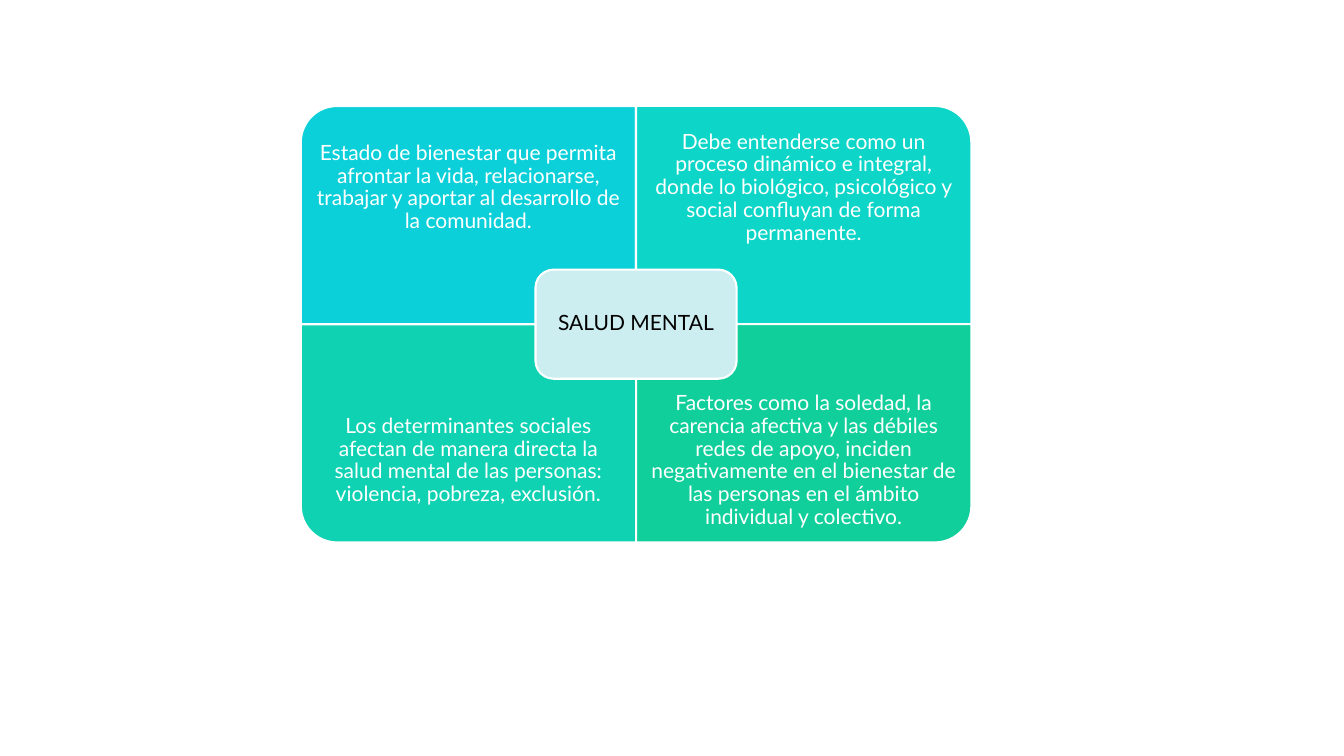
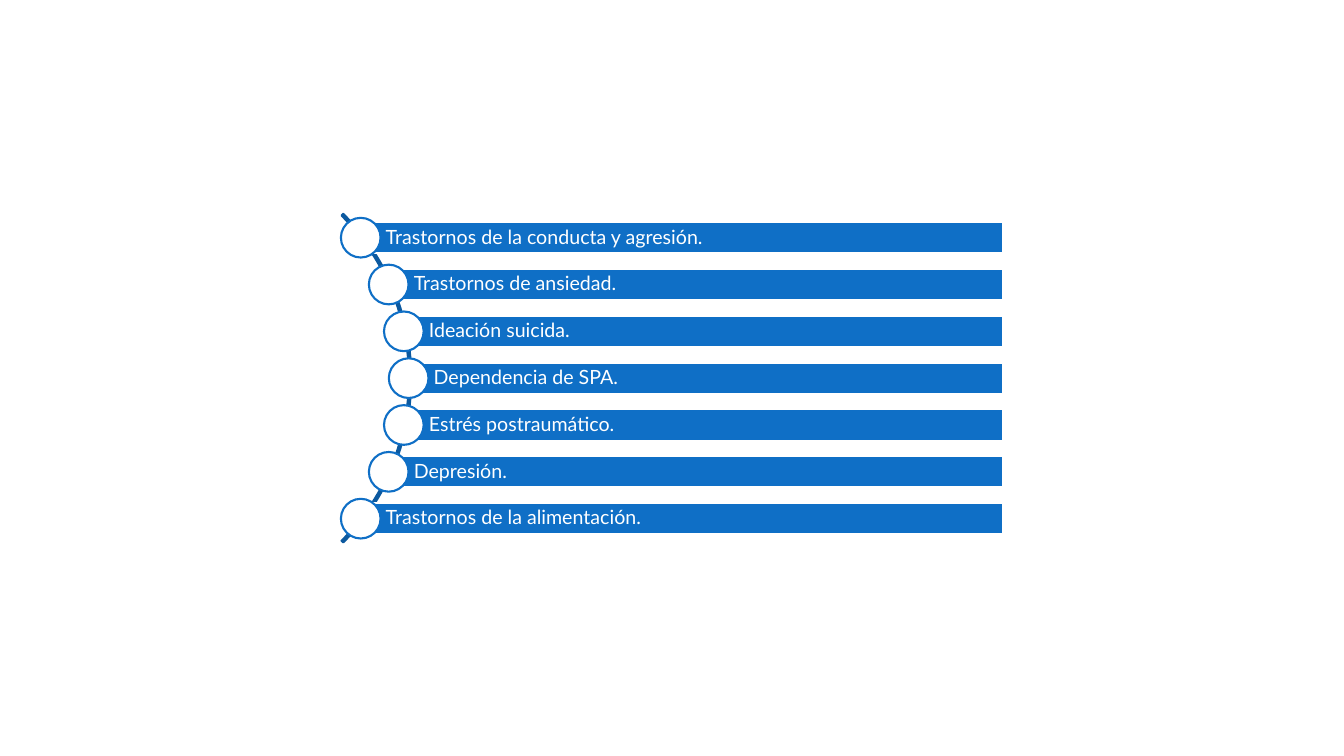
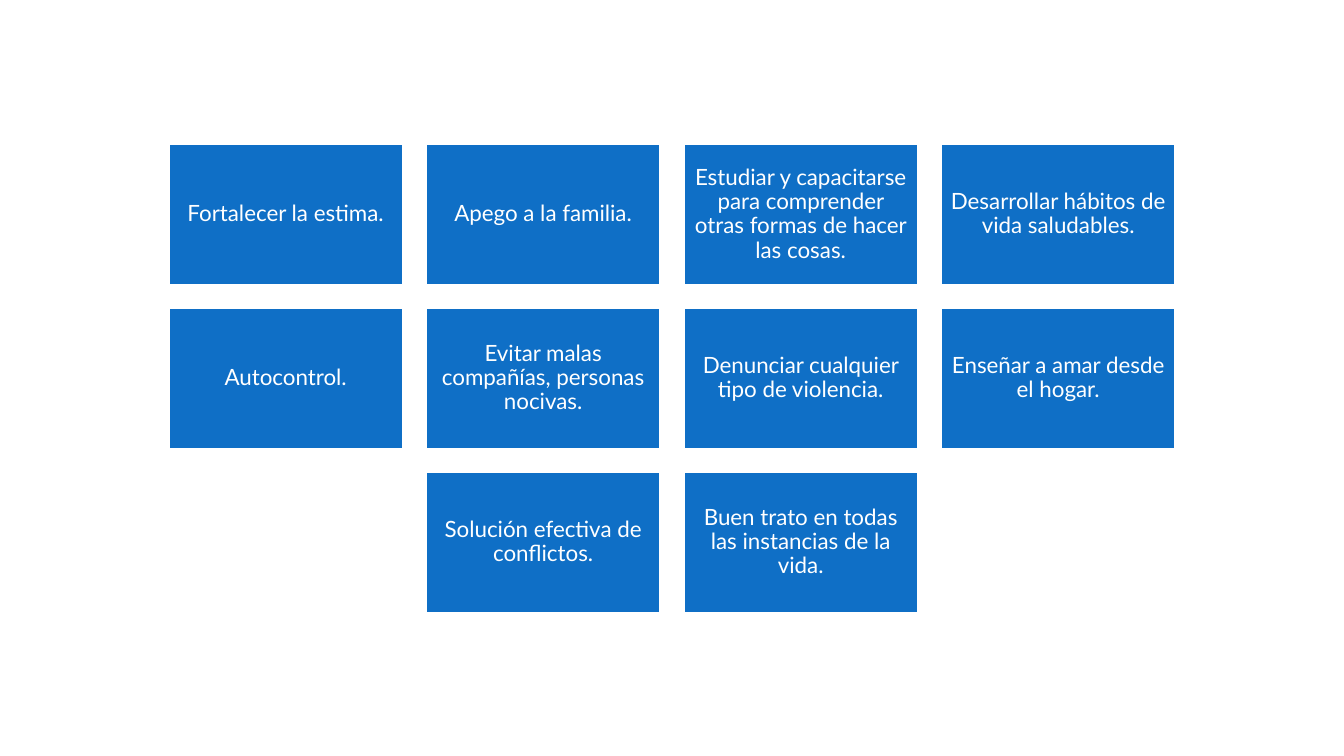
import math

import pptx
import pptx.dml.color
import pptx.enum.shapes
import pptx.enum.text
import pptx.util

Cm = pptx.util.Cm
Pt = pptx.util.Pt
RGB = pptx.dml.color.RGBColor
KIND = pptx.enum.shapes.MSO_SHAPE
ALIGN = pptx.enum.text.PP_ALIGN

COLOURS = {
    "white": "FFFFFF",
    "black": "000000",
    "blue": "0F6FC6",
    "dark blue": "0C599F",
    "cyan": "0BD0D9",
    "turquoise": "0DD6C9",
    "sea green": "0ED2B2",
    "green": "10CF9B",
    "pale cyan": "CCEEF1",
}
FONT = "Lato"


def add_shape(page, kind, left, top, width, height, fill, line="white"):
    shape = page.shapes.add_shape(kind, Cm(left), Cm(top), Cm(width), Cm(height))
    shape.shadow.inherit = False
    if fill:
        shape.fill.solid()
        shape.fill.fore_color.rgb = RGB.from_string(COLOURS[fill])
    else:
        shape.fill.background()
    shape.line.color.rgb = RGB.from_string(COLOURS[line])
    shape.line.width = Pt(1.5)
    return shape


def write(box, text, size, margin, colour="white", align=ALIGN.CENTER):
    frame = box.text_frame
    frame.word_wrap = True
    frame.vertical_anchor = pptx.enum.text.MSO_ANCHOR.MIDDLE
    frame.margin_left = frame.margin_right = Cm(margin)
    frame.margin_top = frame.margin_bottom = Cm(margin)
    para = frame.paragraphs[0]
    para.text = text
    para.alignment = align
    para.line_spacing = 0.9
    para.font.name = FONT
    para.font.size = Pt(size)
    para.font.color.rgb = RGB.from_string(COLOURS[colour])


deck = pptx.Presentation()
deck.slide_width = Cm(33.87)
deck.slide_height = Cm(19.05)
blank = deck.slide_layouts[6]

# Slide 1: four quadrants around a central idea
page = deck.slides.add_slide(blank)
centre_x, centre_y = 16.03, 8.17
quad_width, quad_height = 8.45, 5.5
text_height = quad_height * 0.75
quadrants = [
    # column, row, rotation that turns the round corner outwards, fill, text
    (0, 0, 270, "cyan",
     "Estado de bienestar que permita afrontar la vida, relacionarse, "
     "trabajar y aportar al desarrollo de la comunidad."),
    (1, 0, 0, "turquoise",
     "Debe entenderse como un proceso dinámico e integral, donde lo biológico, "
     "psicológico y social confluyan de forma permanente."),
    (0, 1, 180, "sea green",
     "Los determinantes sociales afectan de manera directa la salud mental "
     "de las personas: violencia, pobreza, exclusión."),
    (1, 1, 90, "green",
     "Factores como la soledad, la carencia afectiva y las débiles redes de apoyo, "
     "inciden negativamente en el bienestar de las personas en el ámbito "
     "individual y colectivo."),
]
for column, row, rotation, fill, text in quadrants:
    left = centre_x + (column - 1) * quad_width
    top = centre_y + (row - 1) * quad_height
    # A quarter turn swaps the sides, so the unrotated shape is upright
    width, height = quad_width, quad_height
    if rotation in (90, 270):
        width, height = height, width
    quadrant = add_shape(page, KIND.ROUND_1_RECTANGLE,
                         left + (quad_width - width) / 2,
                         top + (quad_height - height) / 2, width, height, fill)
    quadrant.rotation = rotation
    # Text keeps to the outer three quarters, clear of the centre
    text_top = top + row * (quad_height - text_height)
    box = page.shapes.add_textbox(Cm(left), Cm(text_top), Cm(quad_width), Cm(text_height))
    write(box, text, 15, 0.3)

hub_width, hub_height = quad_width * 0.6, quad_height * 0.5
hub = add_shape(page, KIND.ROUNDED_RECTANGLE, centre_x - hub_width / 2,
                centre_y - hub_height / 2, hub_width, hub_height, "pale cyan")
write(hub, "SALUD MENTAL", 15, 0.15, "black")

# Slide 2: bars whose dots sit on an arc
page = deck.slides.add_slide(blank)
arc_x, arc_y, arc_size = 4.51, 9.53, 11.71
dot_radius, dot_size = 5.79, 1
bar_right, bar_height, bar_pitch = 25.27, 0.79, 1.18
arc = add_shape(page, KIND.BLOCK_ARC, arc_x - arc_size / 2, arc_y - arc_size / 2,
                arc_size, arc_size, None, "dark blue")
for index, value in enumerate((189, 27, 0.005)):
    arc.adjustments[index] = value

disorders = [
    "Trastornos de la conducta y agresión.",
    "Trastornos de ansiedad.",
    "Ideación suicida.",
    "Dependencia de SPA.",
    "Estrés postraumático.",
    "Depresión.",
    "Trastornos de la alimentación.",
]
for index, text in enumerate(disorders):
    offset = (index - (len(disorders) - 1) / 2) * bar_pitch
    dot_x = arc_x + math.sqrt(dot_radius ** 2 - offset ** 2)
    dot_y = arc_y + offset
    bar = add_shape(page, KIND.RECTANGLE, dot_x, dot_y - bar_height / 2,
                    bar_right - dot_x, bar_height, "blue")
    write(bar, text, 14, 0.1, align=ALIGN.LEFT)
    bar.text_frame.margin_left = Cm(0.63)
    add_shape(page, KIND.OVAL, dot_x - dot_size / 2, dot_y - dot_size / 2,
              dot_size, dot_size, "white", "blue")

# Slide 3: grid of cards, last row centred
page = deck.slides.add_slide(blank)
grid_left, grid_top = 4.25, 3.64
card_width, card_height, gap = 5.9, 3.54, 0.59
columns = 4
advice = [
    "Fortalecer la estima.",
    "Apego a la familia.",
    "Estudiar y capacitarse para comprender otras formas de hacer las cosas.",
    "Desarrollar hábitos de vida saludables.",
    "Autocontrol.",
    "Evitar malas compañías, personas nocivas.",
    "Denunciar cualquier tipo de violencia.",
    "Enseñar a amar desde el hogar.",
    "Solución efectiva de conflictos.",
    "Buen trato en todas las instancias de la vida.",
]
for index, text in enumerate(advice):
    row, column = divmod(index, columns)
    row_length = min(columns, len(advice) - row * columns)
    column += (columns - row_length) / 2
    card = add_shape(page, KIND.RECTANGLE, grid_left + column * (card_width + gap),
                     grid_top + row * (card_height + gap), card_width, card_height, "blue")
    write(card, text, 16, 0.17)

deck.save("out.pptx")
